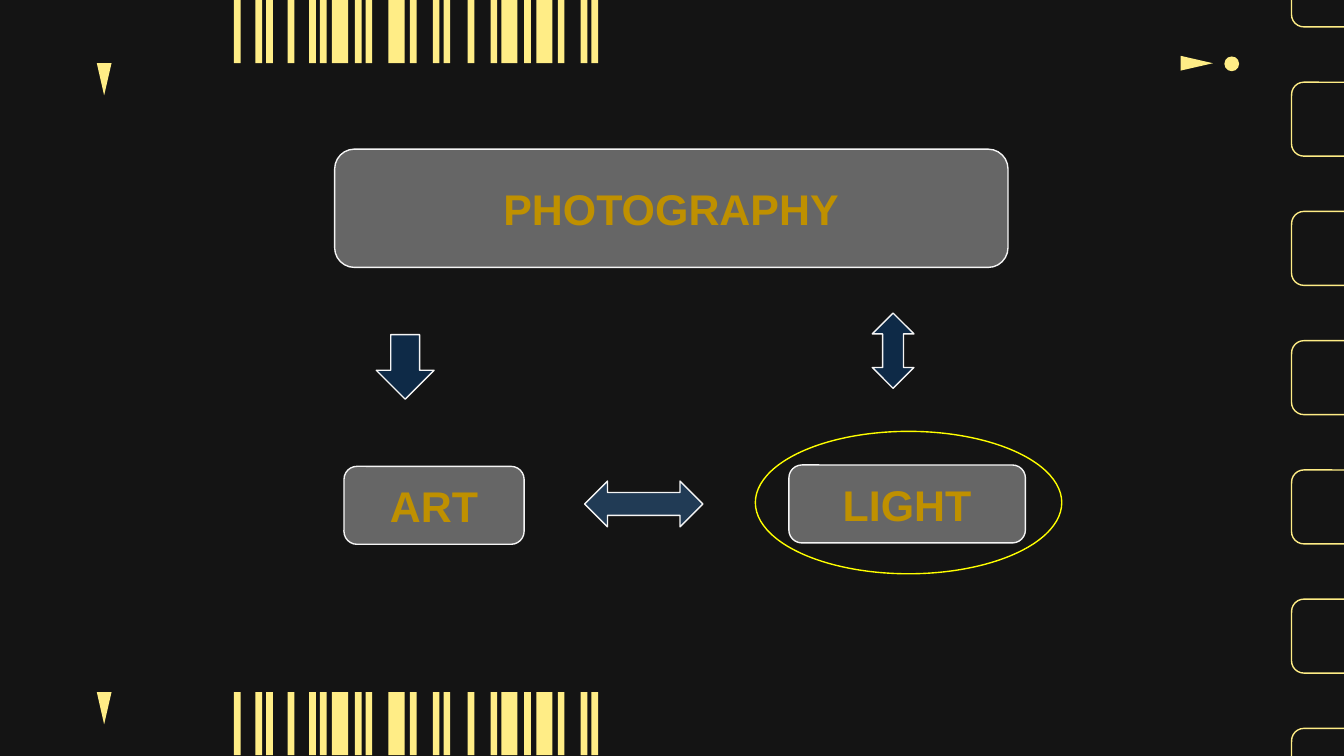
"""Build the photography diagram slide with its film-strip frame."""
from pptx import Presentation
from pptx.dml.color import RGBColor
from pptx.enum.shapes import MSO_SHAPE as Kind
from pptx.enum.text import MSO_ANCHOR as Anchor, PP_ALIGN as Align
from pptx.util import Inches, Pt

HUES = {
    "night": "141414",
    "film": "FFED86",
    "gray": "666666",
    "pale": "F5F5F5",
    "gold": "BF9000",
    "navy": "0E2A47",
    "steel": "213B55",
    "ring": "FFFF00",
}
WIDTH = 10
HEIGHT = WIDTH * 9 / 16
THIN, WIDE = 0.05, 0.12
BARS = (
    (1.74, THIN), (1.9, THIN), (1.98, THIN), (2.14, THIN), (2.3, THIN),
    (2.38, THIN), (2.47, WIDE), (2.64, THIN), (2.72, THIN), (2.89, WIDE),
    (3.05, THIN), (3.22, THIN), (3.3, THIN), (3.48, THIN), (3.65, THIN),
    (3.9, THIN), (3.73, WIDE), (3.99, WIDE), (4.15, THIN), (4.32, THIN),
    (4.4, THIN),
)


def tint(name):
    return RGBColor.from_string(HUES[name])


def add_form(slide, kind, box, fill=None, line=None):
    form = slide.shapes.add_shape(kind, *map(Inches, box))
    form.shadow.inherit = False
    if fill:
        form.fill.solid()
        form.fill.fore_color.rgb = tint(fill)
    else:
        form.fill.background()
    if line:
        form.line.color.rgb = tint(line)
        form.line.width = Pt(0.75)
    else:
        form.line.fill.background()
    return form


def add_code(slide, top):
    for left, width in BARS:
        add_form(slide, Kind.RECTANGLE, (left, top, width, 0.47), "film")


def add_holes(slide):
    step = 5.77 / 6
    for row in range(7):
        box = (9.61, -0.35 + step * row, 0.55, 0.55)
        add_form(slide, Kind.ROUNDED_RECTANGLE, box, line="film")


def add_mark(slide, left, top, turn=0):
    box = (left, top, 0.11, 0.24)
    add_form(slide, Kind.FLOWCHART_MERGE, box, "film").rotation = turn


def add_node(slide, text, box):
    node = add_form(slide, Kind.ROUNDED_RECTANGLE, box, "gray", "pale")
    frame = node.text_frame
    frame.word_wrap = True
    frame.vertical_anchor = Anchor.MIDDLE
    frame.margin_left = frame.margin_right = Inches(0.1)
    frame.margin_top = frame.margin_bottom = Inches(0.1)
    line = frame.paragraphs[0]
    line.text = text
    line.alignment = Align.CENTER
    line.font.name = "Arial"
    line.font.size = Pt(23)
    line.font.bold = True
    line.font.color.rgb = tint("gold")


def add_frame(slide):
    add_code(slide, 0)
    add_holes(slide)
    add_mark(slide, 8.85, 0.35, 270)
    add_form(slide, Kind.OVAL, (9.11, 0.42, 0.11, 0.11), "film")
    for top in (0.47, 5.15):
        add_mark(slide, 0.72, top)
    add_code(slide, 5.15)


def add_chain(slide):
    add_node(slide, "PHOTOGRAPHY", (2.49, 1.11, 5.01, 0.88))
    add_node(slide, "ART", (2.56, 3.47, 1.34, 0.58))
    add_node(slide, "LIGHT", (5.87, 3.46, 1.76, 0.58))
    for kind, box, fill in (
        (Kind.DOWN_ARROW, (2.8, 2.49, 0.43, 0.48), "navy"),
        (Kind.LEFT_RIGHT_ARROW, (4.35, 3.58, 0.88, 0.34), "steel"),
        (Kind.UP_DOWN_ARROW, (6.49, 2.33, 0.31, 0.56), "navy"),
    ):
        add_form(slide, kind, box, fill, "pale")
    add_form(slide, Kind.OVAL, (5.62, 3.21, 2.28, 1.06), line="ring")


def main():
    deck = Presentation()
    deck.slide_width, deck.slide_height = Inches(WIDTH), Inches(HEIGHT)
    slide = deck.slides.add_slide(deck.slide_layouts[6])
    back = slide.background.fill
    back.solid()
    back.fore_color.rgb = tint("night")
    add_frame(slide)
    add_chain(slide)
    deck.save("out.pptx")


if __name__ == "__main__":
    main()
